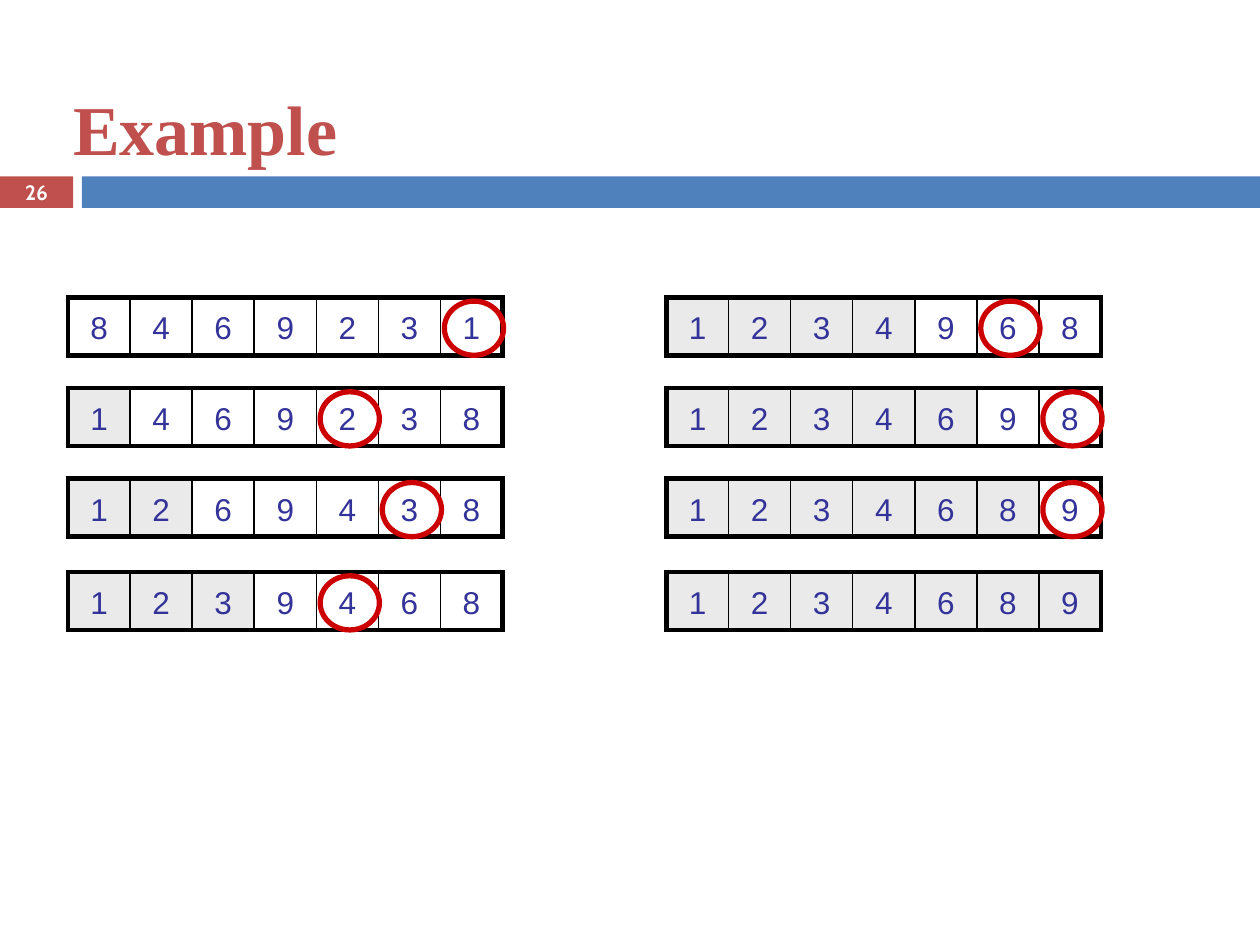
from lxml import etree
from pptx import Presentation, util as u
from pptx.dml.color import RGBColor
from pptx.enum import shapes, text
from pptx.oxml import ns

RED = RGBColor(0xC0, 0x50, 0x4D)
BLUE = RGBColor(0x4F, 0x81, 0xBD)
WHITE = RGBColor(0xFF, 0xFF, 0xFF)
BLACK = RGBColor(0, 0, 0)
DIGIT = RGBColor(0x33, 0x33, 0x99)
SORTED = RGBColor(0xEA, 0xEA, 0xEA)
RING = RGBColor(0xCC, 0, 0)

# Content: digits, number already sorted, column of the ringed minimum
COLUMNS = {
    0.54: [("8469231", 0, 6), ("1469238", 1, 4),
           ("1269438", 2, 5), ("1239468", 3, 4)],
    5.29: [("1234968", 4, 5), ("1234698", 5, 6),
           ("1234689", 6, 6), ("1234689", 7, None)],
}
ROW_TOPS = [2.36, 3.08, 3.8, 4.54]
ROW_WIDTH, ROW_HEIGHT = 3.45, 0.46
RING_WIDTH, RING_HEIGHT, RING_SHIFT = 0.47, 0.43, 0.03
BARS = [(0, 0.58, RED), (0.65, 9.35, BLUE)]

TITLE_FONT = {"name": "Times New Roman", "size": u.Pt(40), "bold": True}
NUMBER_FONT = {"name": "Cabin", "size": u.Pt(11.9), "bold": True}
DIGIT_FONT = {"name": "Arial", "size": u.Pt(18), "bold": False}


def inches(*lengths):
    return [u.Inches(length) for length in lengths]


def set_all(target, values):
    for name, value in values.items():
        setattr(target, name, value)


def write(frame, words, font, color, align, before=0):
    para = frame.paragraphs[0]
    set_all(para, {"alignment": align, "space_before": u.Pt(before)})
    span = para.add_run()
    span.text = words
    set_all(span.font, font)
    span.font.color.rgb = color
    return span


def set_border(cell, side, points):
    line = etree.SubElement(cell._tc.get_or_add_tcPr(), ns.qn(f"a:ln{side}"),
                            w=str(u.Pt(points)))
    fill = etree.SubElement(line, ns.qn("a:solidFill"))
    etree.SubElement(fill, ns.qn("a:srgbClr"), val=str(BLACK))


def add_array(page, left, top, digits, sorted_count):
    count = len(digits)
    table = page.shapes.add_table(
        1, count, *inches(left, top, ROW_WIDTH, ROW_HEIGHT)).table
    set_all(table, {"first_row": False, "horz_banding": False})
    for index, digit in enumerate(digits):
        table.columns[index].width = u.Inches(ROW_WIDTH / count)
        cell = table.cell(0, index)
        set_all(cell, {"margin_left": 0, "margin_right": 0,
                       "margin_top": u.Inches(0.11), "margin_bottom": 0})
        write(cell.text_frame, digit, DIGIT_FONT, DIGIT,
              text.PP_ALIGN.CENTER, before=7.7)
        # Borders precede the fill in the cell's XML
        widths = {"L": 3 if index == 0 else 1,
                  "R": 3 if index == count - 1 else 1, "T": 3, "B": 3}
        for side, points in widths.items():
            set_border(cell, side, points)
        if index < sorted_count:
            cell.fill.solid()
            cell.fill.fore_color.rgb = SORTED
        else:
            cell.fill.background()


def add_ring(page, left, top, column, count):
    x = left + column * ROW_WIDTH / count + RING_SHIFT
    ring = page.shapes.add_shape(
        shapes.MSO_SHAPE.OVAL,
        *inches(x, top + RING_SHIFT, RING_WIDTH, RING_HEIGHT))
    ring.shadow.inherit = False
    ring.fill.background()
    ring.line.color.rgb = RING
    ring.line.width = u.Pt(3)


def main():
    deck = Presentation()
    deck.slide_width, deck.slide_height = inches(10, 7.5)
    page = deck.slides.add_slide(deck.slide_layouts[5])

    # Title
    title = page.shapes.title
    title.left, title.top, title.width, title.height = inches(
        0.57, 0.66, 2.19, 0.69)
    set_all(title.text_frame, {
        "margin_left": u.Inches(0.01), "margin_right": 0,
        "margin_top": u.Inches(0.01), "margin_bottom": 0,
        "vertical_anchor": text.MSO_ANCHOR.MIDDLE,
        "auto_size": text.MSO_AUTO_SIZE.SHAPE_TO_FIT_TEXT})
    write(title.text_frame, "Example", TITLE_FONT, RED,
          text.PP_ALIGN.LEFT, before=0.9)

    # Header bars
    for left, width, color in BARS:
        bar = page.shapes.add_shape(shapes.MSO_SHAPE.RECTANGLE,
                                    *inches(left, 1.4, width, 0.25))
        bar.shadow.inherit = False
        bar.fill.solid()
        bar.fill.fore_color.rgb = color
        bar.line.fill.background()

    # Sorting steps
    for left, steps in COLUMNS.items():
        for top, (digits, sorted_count, ringed) in zip(ROW_TOPS, steps):
            add_array(page, left, top, digits, sorted_count)
            if ringed is not None:
                add_ring(page, left, top, ringed, len(digits))

    # Page number
    box = page.shapes.add_textbox(*inches(0, 1.39, 0.58, 0.27))
    set_all(box.text_frame, {"word_wrap": True,
                             "vertical_anchor": text.MSO_ANCHOR.MIDDLE})
    write(box.text_frame, "26", NUMBER_FONT, WHITE, text.PP_ALIGN.CENTER)

    deck.save("out.pptx")


if __name__ == "__main__":
    main()
